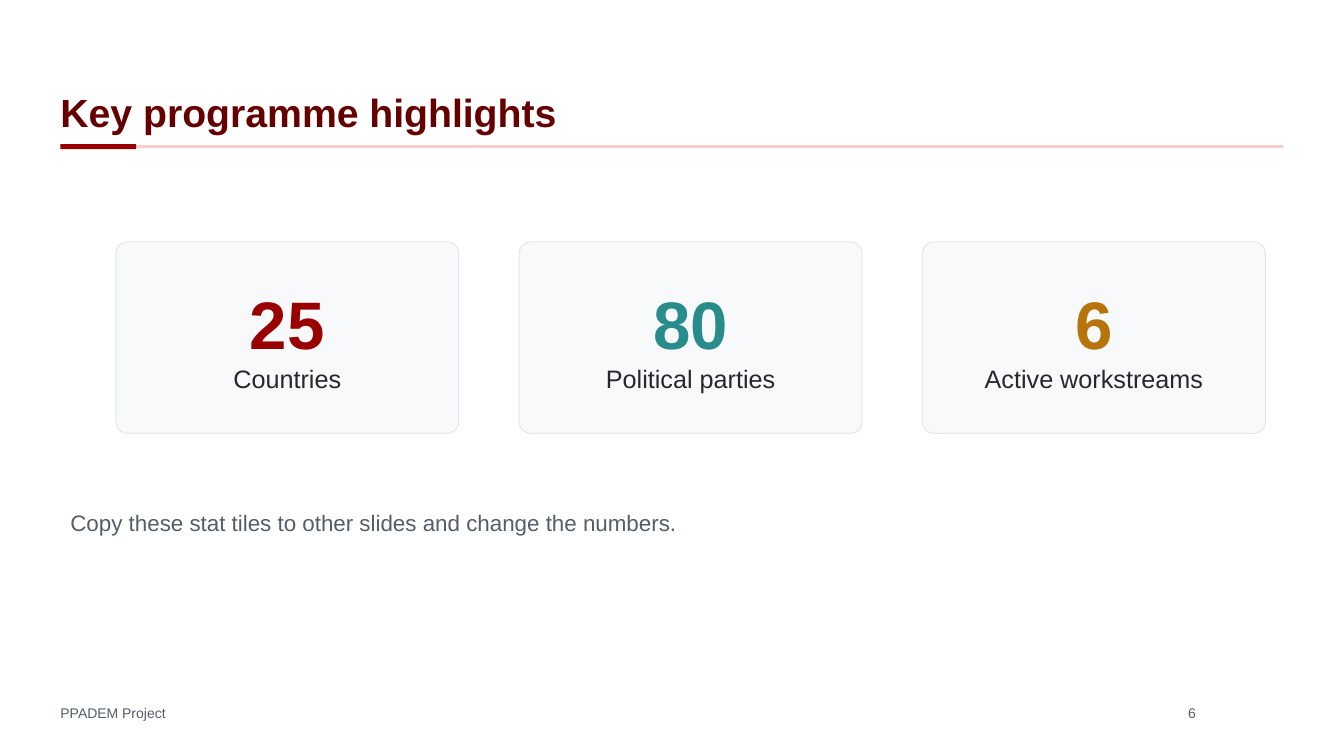
from pptx import Presentation
from pptx.dml.color import RGBColor
from pptx.enum.shapes import MSO_SHAPE
from pptx.enum.text import MSO_ANCHOR, PP_ALIGN
from pptx.util import Inches, Pt

RECTANGLE, ROUNDED = MSO_SHAPE.RECTANGLE, MSO_SHAPE.ROUNDED_RECTANGLE
TOP, MIDDLE, BOTTOM = MSO_ANCHOR.TOP, MSO_ANCHOR.MIDDLE, MSO_ANCHOR.BOTTOM
LEFT, CENTER, RIGHT = PP_ALIGN.LEFT, PP_ALIGN.CENTER, PP_ALIGN.RIGHT

FONT = "Arial"
MAROON = RGBColor(0x66, 0x00, 0x00)
RED = RGBColor(0x99, 0x00, 0x00)
PINK = RGBColor(0xF2, 0xD0, 0xD0)
TEAL = RGBColor(0x29, 0x8C, 0x8C)
AMBER = RGBColor(0xB8, 0x74, 0x0B)
INK = RGBColor(0x24, 0x29, 0x2E)
GREY = RGBColor(0x55, 0x5E, 0x68)
TILE_FILL = RGBColor(0xF8, 0xF9, 0xFA)
TILE_LINE = RGBColor(0xE5, 0xE7, 0xEB)

MARGIN = 0.6
CONTENT_WIDTH = 12.13
TILE_LEFT, TILE_TOP = 1.15, 2.4
TILE_WIDTH, TILE_HEIGHT = 3.4, 1.9
TILE_GAP = 0.6

STATS = [
    ("25", "Countries", RED),
    ("80", "Political parties", TEAL),
    ("6", "Active workstreams", AMBER),
]


def style_paragraph(paragraph, size, color, bold=False, align=LEFT):
    paragraph.alignment = align
    for run in paragraph.runs:
        run.font.name = FONT
        run.font.size = Pt(size)
        run.font.bold = bold
        run.font.color.rgb = color


def add_text(slide, text, box, size, color, bold=False, align=LEFT,
             anchor=MIDDLE, inset_x=0, inset_y=0):
    """Add a one-paragraph text box; box is left, top, width, height in inches."""
    frame = slide.shapes.add_textbox(*map(Inches, box)).text_frame
    frame.word_wrap = True
    frame.vertical_anchor = anchor
    frame.margin_left = frame.margin_right = Inches(inset_x)
    frame.margin_top = frame.margin_bottom = Inches(inset_y)
    frame.text = text
    style_paragraph(frame.paragraphs[0], size, color, bold, align)
    return frame


def add_filled_shape(slide, kind, box, fill):
    shape = slide.shapes.add_shape(kind, *map(Inches, box))
    shape.shadow.inherit = False
    shape.fill.solid()
    shape.fill.fore_color.rgb = fill
    shape.line.fill.background()
    return shape


def add_stat_tile(slide, left, number, label, color):
    tile = add_filled_shape(
        slide, ROUNDED, (left, TILE_TOP, TILE_WIDTH, TILE_HEIGHT), TILE_FILL)
    tile.adjustments[0] = 0.06
    tile.line.color.rgb = TILE_LINE
    tile.line.width = Pt(0.75)
    frame = tile.text_frame
    frame.word_wrap = True
    frame.vertical_anchor = MIDDLE
    frame.text = f"{number}\n{label}"
    number_line, label_line = frame.paragraphs
    style_paragraph(number_line, 48, color, True, CENTER)
    style_paragraph(label_line, 18, INK, False, CENTER)


def main():
    prs = Presentation()
    prs.slide_width, prs.slide_height = Inches(13.33), Inches(7.5)
    slide = prs.slides.add_slide(prs.slide_layouts[6])

    add_text(slide, "PPADEM Project", (MARGIN, 6.92, 5, 0.3), 10, GREY)
    add_text(slide, "6", (10.91, 6.92, 0.95, 0.3), 10, GREY, align=RIGHT)

    add_filled_shape(slide, RECTANGLE, (MARGIN, 1.44, CONTENT_WIDTH, 0.03), PINK)
    add_filled_shape(slide, RECTANGLE, (MARGIN, 1.43, 0.75, 0.05), RED)
    title = add_text(slide, "Key programme highlights",
                     (MARGIN, 0.45, CONTENT_WIDTH, 0.95), 28, MAROON,
                     bold=True, anchor=BOTTOM, inset_y=0.05)
    title.paragraphs[0].line_spacing = 0.9

    for index, (number, label, color) in enumerate(STATS):
        left = TILE_LEFT + index * (TILE_WIDTH + TILE_GAP)
        add_stat_tile(slide, left, number, label, color)

    add_text(slide, "Copy these stat tiles to other slides and change the numbers.",
             (MARGIN, 5, CONTENT_WIDTH, 0.6), 16, GREY,
             anchor=TOP, inset_x=0.1, inset_y=0.05)

    prs.save("out.pptx")


if __name__ == "__main__":
    main()
